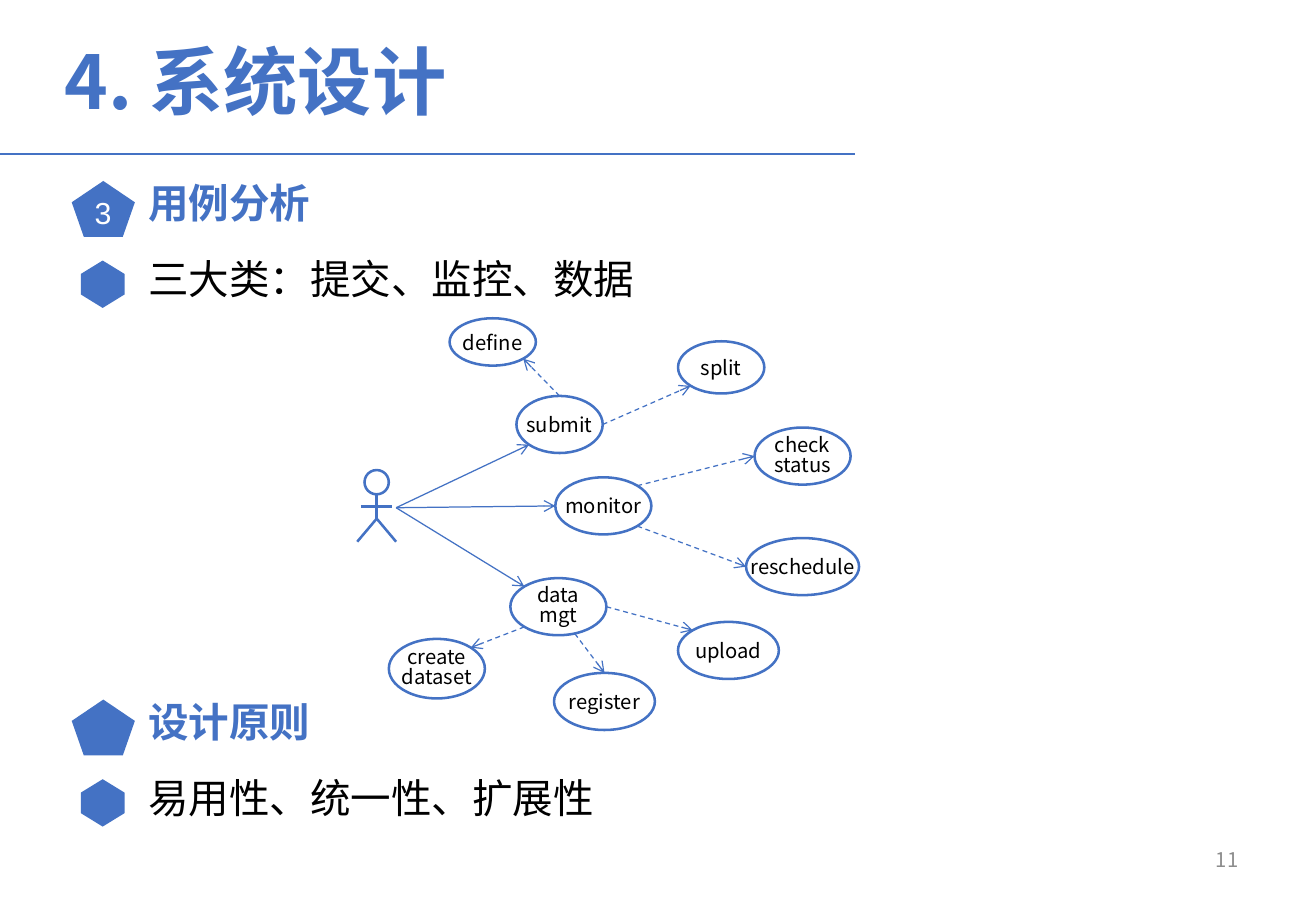
from collections import namedtuple
from dataclasses import dataclass
from math import cos, radians, sin

from lxml.etree import SubElement
from pptx import Presentation
from pptx.dml.color import RGBColor
from pptx.enum.dml import MSO_LINE
from pptx.enum.shapes import MSO_CONNECTOR, MSO_SHAPE
from pptx.enum.text import MSO_ANCHOR, MSO_AUTO_SIZE, PP_ALIGN
from pptx.oxml.ns import qn
from pptx.util import Inches, Pt

Box = namedtuple("Box", "left top width height")


@dataclass(frozen=True)
class Theme:
    blue: str = "4472C4"
    black: str = "000000"
    white: str = "FFFFFF"
    gray: str = "8C8C8C"
    font: str = "Noto Sans CJK SC"
    number_font: str = "Arial"
    title: int = 44
    text: int = 24
    number: int = 18
    small: int = 12
    rule: float = 1.25
    outline: float = 1.5
    arrow: float = 0.75


THEME = Theme()

USE_CASES = {
    "submit": Box(1.31, 0.64, 0.71, 0.47),
    "define": Box(0.76, 0, 0.71, 0.39),
    "split": Box(2.64, 0.19, 0.71, 0.43),
    "data\nmgt": Box(1.26, 2.14, 0.79, 0.47),
    "check\nstatus": Box(3.27, 0.9, 0.79, 0.47),
    "reschedule": Box(3.2, 1.81, 0.93, 0.47),
    "create\ndataset": Box(0.26, 2.64, 0.79, 0.49),
    "upload": Box(2.64, 2.5, 0.83, 0.47),
    "monitor": Box(1.63, 1.31, 0.79, 0.47),
    "register": Box(1.62, 2.92, 0.83, 0.47),
}
ACTOR_ARROWS = [("submit", 135), ("monitor", 180), ("data\nmgt", 225)]
CASE_ARROWS = [
    ("submit", 270, "define", 45),
    ("submit", 0, "split", 135),
    ("monitor", 45, "reschedule", 180),
    ("monitor", 315, "check\nstatus", 180),
    ("data\nmgt", 135, "create\ndataset", 315),
    ("data\nmgt", 0, "upload", 225),
    ("data\nmgt", 70, "register", 270),
]


def within(outer, inner):
    return Box(outer.left + inner.left, outer.top + inner.top, inner.width, inner.height)


def place(shape, box):
    shape.left, shape.top, shape.width, shape.height = map(Inches, box)


def write(shape, text, size=THEME.small, color=THEME.black, font=THEME.font, bold=False,
          align=PP_ALIGN.LEFT, anchor=MSO_ANCHOR.TOP, spacing=0.9, wrap=True):
    frame = shape.text_frame
    frame.text = text
    frame.auto_size = MSO_AUTO_SIZE.NONE
    frame.word_wrap = wrap
    frame.vertical_anchor = anchor
    for paragraph in frame.paragraphs:
        paragraph.alignment = align
        paragraph.line_spacing = spacing
        paragraph.space_before = Pt(0)
        properties = paragraph._p.get_or_add_pPr()
        properties.set("marL", "0")
        properties.set("indent", "0")
        SubElement(properties, qn("a:buNone"))
        for run in paragraph.runs:
            run.font.size = Pt(size)
            run.font.bold = bold
            run.font.color.rgb = RGBColor.from_string(color)
            run.font.name = font
            SubElement(run.font._element, qn("a:ea")).set("typeface", font)


def add_text(slide, box, text, **style):
    write(slide.shapes.add_textbox(*map(Inches, box)), text, **style)


def add_line(slide, start, end, width, dashed=False, arrow=False):
    line = slide.shapes.add_connector(MSO_CONNECTOR.STRAIGHT, *map(Inches, (*start, *end)))
    line.line.color.rgb = RGBColor.from_string(THEME.blue)
    line.line.width = Pt(width)
    if dashed:
        line.line.dash_style = MSO_LINE.DASH
    if arrow:
        SubElement(line.line._get_or_add_ln(), qn("a:tailEnd")).set("type", "arrow")
    SubElement(line._element.spPr, qn("a:effectLst"))


def add_marker(slide, kind, box):
    marker = slide.shapes.add_shape(kind, *map(Inches, box))
    marker.shadow.inherit = False
    marker.fill.solid()
    marker.fill.fore_color.rgb = RGBColor.from_string(THEME.blue)
    marker.line.fill.background()
    return marker


def add_oval(slide, box):
    oval = slide.shapes.add_shape(MSO_SHAPE.OVAL, *map(Inches, box))
    oval.shadow.inherit = False
    oval.fill.background()
    oval.line.color.rgb = RGBColor.from_string(THEME.blue)
    oval.line.width = Pt(THEME.outline)
    return oval


def rim_point(box, degrees):
    angle = radians(degrees)
    return (box.left + box.width / 2 * (1 + cos(angle)),
            box.top + box.height / 2 * (1 + sin(angle)))


def add_header(slide, box, text):
    place(slide.shapes.title, box)
    write(slide.shapes.title, text, size=THEME.title, color=THEME.blue, bold=True)
    rule_top = box.top + 0.95
    add_line(slide, (0, rule_top), (7.04, rule_top), THEME.rule)


def add_section(slide, box, heading, body, heading_text, body_text, number=None):
    place(heading, within(box, Box(0.53, 0, 8.39, 0.5)))
    write(heading, heading_text, size=THEME.text, color=THEME.blue, bold=True)
    place(body, within(box, Box(0.53, 0.63, 5.05, 0.5)))
    write(body, body_text, size=THEME.text)
    add_marker(slide, MSO_SHAPE.REGULAR_PENTAGON, within(box, Box(0, 0.03, 0.52, 0.46)))
    hexagon = add_marker(slide, MSO_SHAPE.HEXAGON, within(box, Box(0.06, 0.7, 0.39, 0.36)))
    hexagon.rotation = 90
    hexagon.adjustments[0] = 0.307
    if number:
        add_text(slide, within(box, Box(0.09, 0.09, 0.34, 0.4)), number, size=THEME.number,
                 color=THEME.white, font=THEME.number_font, spacing=1.0, wrap=False)


def add_actor(slide, box):
    middle = box.left + box.width / 2
    right, bottom = box.left + box.width, box.top + box.height
    neck, arms, hips = box.top + 0.2, box.top + 0.3, box.top + 0.4
    add_oval(slide, Box(middle - 0.1, box.top, 0.2, 0.2))
    for start, end in [
        ((box.left + 0.03, arms), (right - 0.03, arms)),
        ((middle, neck), (middle, hips)),
        ((middle, hips), (box.left, bottom)),
        ((middle, hips), (right, bottom)),
    ]:
        add_line(slide, start, end, THEME.outline)
    return right, box.top + 0.31


def add_use_cases(slide, box):
    hand = add_actor(slide, within(box, Box(0, 1.25, 0.32, 0.59)))
    cases = {name: within(box, case) for name, case in USE_CASES.items()}
    for name, case in cases.items():
        write(add_oval(slide, case), name, align=PP_ALIGN.CENTER, anchor=MSO_ANCHOR.MIDDLE,
              spacing=Pt(12) if "\n" in name else 1.0, wrap=False)
    for name, angle in ACTOR_ARROWS:
        add_line(slide, hand, rim_point(cases[name], angle), THEME.arrow, arrow=True)
    for source, source_angle, target, target_angle in CASE_ARROWS:
        add_line(slide, rim_point(cases[source], source_angle),
                 rim_point(cases[target], target_angle), THEME.arrow, dashed=True, arrow=True)


def main():
    presentation = Presentation()
    presentation.slide_width, presentation.slide_height = Inches(10.83), Inches(7.5)
    slide = presentation.slides.add_slide(presentation.slide_layouts.get_by_name("Comparison"))
    first_heading, first_body, second_heading, second_body = list(slide.placeholders)[1:]
    add_header(slide, Box(0.43, 0.32, 8.7, 0.71), "4. 系统设计")
    add_section(slide, Box(0.59, 1.46, 8.92, 1.13), first_heading, first_body,
                "用例分析", "三大类：提交、监控、数据", number="3")
    add_section(slide, Box(0.59, 5.73, 8.92, 1.13), second_heading, second_body,
                "设计原则", "易用性、统一性、扩展性")
    add_use_cases(slide, Box(2.94, 2.62, 4.13, 3.4))
    add_text(slide, Box(7.76, 6.95, 2.53, 0.4), "11", color=THEME.gray, align=PP_ALIGN.RIGHT)
    presentation.save("out.pptx")


if __name__ == "__main__":
    main()
